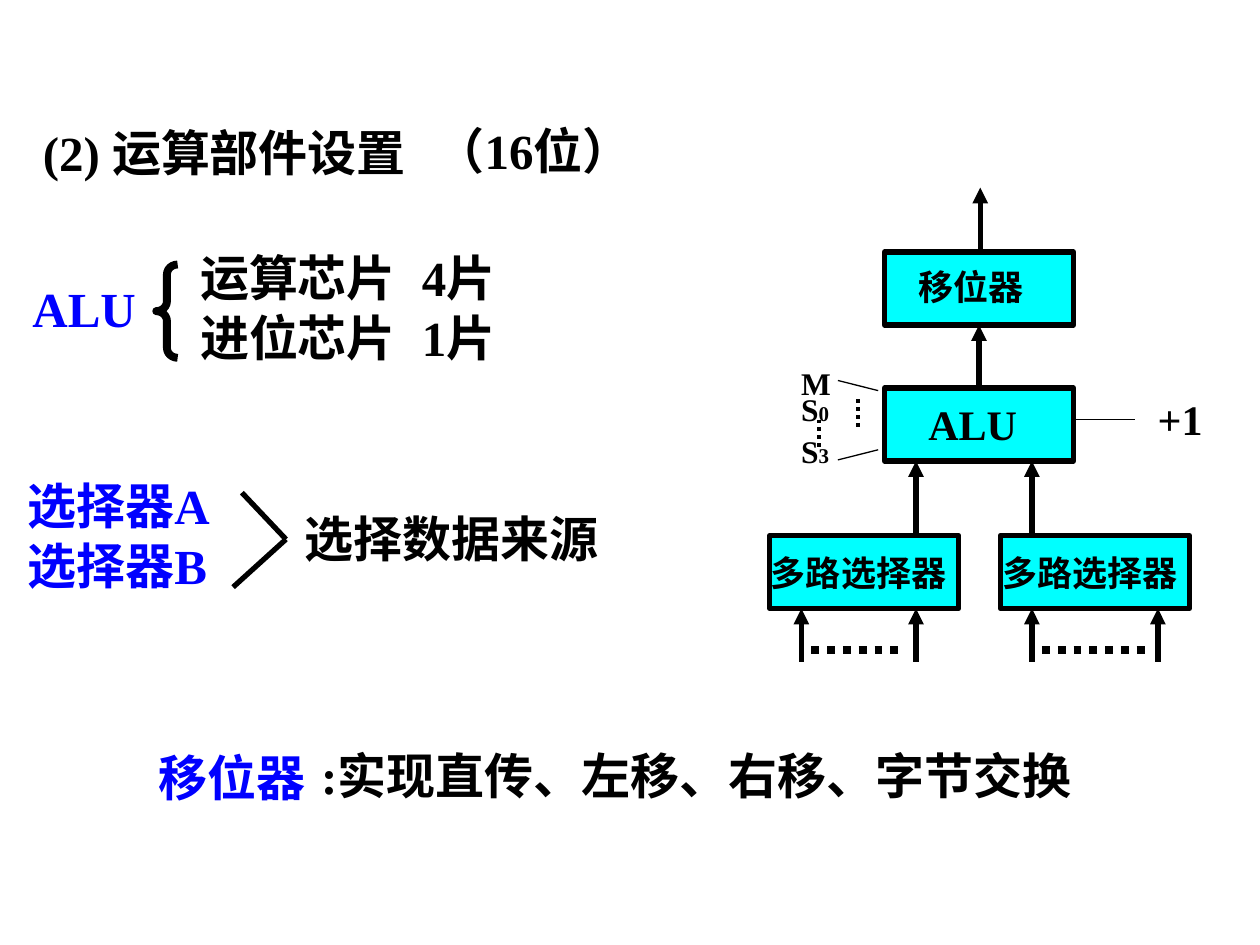
from dataclasses import dataclass
from pptx import Presentation, util as u
from pptx.dml.color import RGBColor
from pptx.enum import dml, shapes, text
from pptx.oxml.ns import qn
from lxml import etree


@dataclass
class Theme:
    font: str = "Times New Roman"
    ink: RGBColor = RGBColor(0, 0, 0)
    blue: RGBColor = RGBColor(0, 0, 255)
    fill: RGBColor = RGBColor(0, 255, 255)
    body: int = 28
    large: int = 24
    mid: int = 20
    small: int = 18
    sub: int = 12


look = Theme()
deck = Presentation()
deck.slide_width, deck.slide_height = u.Inches(10), u.Inches(7.5)
slide = deck.slides.add_slide(deck.slide_layouts[5])


def write(spot, lines, size=look.body, color=look.ink, pitch=1.0, box=None):
    """Fill a text box, or the given placeholder, with bold left-aligned lines."""
    place = [u.Inches(n) for n in spot]
    if box is None:
        box = slide.shapes.add_textbox(*place)
    box.left, box.top, box.width, box.height = place
    frame = box.text_frame
    frame.word_wrap = True
    frame.auto_size = text.MSO_AUTO_SIZE.NONE
    frame.vertical_anchor = text.MSO_ANCHOR.TOP
    frame.text = "\n".join(lines)
    for i, para in enumerate(frame.paragraphs):
        para.alignment = text.PP_ALIGN.LEFT
        para.line_spacing = pitch
        para.space_before = u.Pt(size / 2 if i else 0)
        for run in para.runs:
            font = run.font
            font.name, font.size, font.bold = look.font, u.Pt(size), True
            font.color.rgb = color
    return box


def draw(x1, y1, x2, y2, width=3.0, dots=False, arrow=False):
    ends = [u.Inches(n) for n in (x1, y1, x2, y2)]
    line = slide.shapes.add_connector(shapes.MSO_CONNECTOR.STRAIGHT, *ends)
    line.line.color.rgb = look.ink
    line.line.width = u.Pt(width)
    if dots:
        line.line.dash_style = dml.MSO_LINE.ROUND_DOT
    props = line._element.spPr
    if arrow:
        tip = etree.SubElement(props.find(qn("a:ln")), qn("a:tailEnd"))
        tip.set("type", "triangle")
    etree.SubElement(props, qn("a:effectLst"))


# Heading
write((0.24, 0.92, 5.42, 0.57), ["(2) 运算部件设置"], box=slide.shapes.title)
write((3.36, 0.91, 2.75, 0.57), ["（16位）"])

# ALU chips
write((0.16, 2.16, 3, 0.57), ["ALU"], color=look.blue)
brace = slide.shapes.add_shape(
    shapes.MSO_SHAPE.LEFT_BRACE, *[u.Inches(n) for n in (1.24, 2.1, 0.17, 0.74)])
brace.adjustments[0] = 0.46
brace.shadow.inherit = False
brace.fill.background()
brace.line.color.rgb = look.ink
brace.line.width = u.Pt(4.5)
chips = write((1.49, 2.08, 3.83, 0.9), ["运算芯片\t4片", "进位芯片\t1片"], pitch=0.6)
for para in chips.text_frame.paragraphs:
    tabs = etree.SubElement(para._p.get_or_add_pPr(), qn("a:tabLst"))
    etree.SubElement(tabs, qn("a:tab"), pos=str(u.Inches(1.76)), algn="l")

# Selectors
write((0.12, 3.89, 3.17, 0.9), ["选择器A", "选择器B"], color=look.blue, pitch=0.6)
draw(1.92, 3.91, 2.27, 4.28)
draw(1.85, 4.66, 2.27, 4.28)
write((2.32, 3.99, 2.87, 0.57), ["选择数据来源"])

# Shifter
write((1.16, 5.88, 3, 0.57), ["移位器"], color=look.blue)
write((2.45, 5.87, 6.41, 0.57), [":实现直传、左移、右移、字节交换"])

# Data path: upward arrows, then blocks, then their labels
for x, low, high in [(7.78, 1.99, 1.49), (7.77, 3.08, 2.58),
                     (7.27, 4.25, 3.66), (8.19, 4.25, 3.66),
                     (6.36, 5.25, 4.83), (7.27, 5.25, 4.83),
                     (8.19, 5.25, 4.83), (9.19, 5.25, 4.83)]:
    draw(x, low, x, high, arrow=True)
for left, right in [(6.44, 7.19), (8.27, 9.11)]:
    draw(left, 5.16, right, 5.16, 4.5, dots=True)

for x, y in [(7.02, 2), (7.02, 3.08), (6.11, 4.25), (7.94, 4.25)]:
    block = slide.shapes.add_shape(
        shapes.MSO_SHAPE.RECTANGLE, *[u.Inches(n) for n in (x, y, 1.5, 0.58)])
    block.shadow.inherit = False
    block.fill.solid()
    block.fill.fore_color.rgb = look.fill
    block.line.color.rgb = look.ink
    block.line.width = u.Pt(3)

write((7.19, 2.06, 1.67, 0.44), ["移位器"], look.mid)
write((7.27, 3.11, 1.67, 0.5), ["ALU"], look.large)
for x in (6.02, 7.86):
    write((x, 4.33, 1.75, 0.43), ["多路选择器"], look.mid)

# ALU control inputs and carry
pins = write((6.26, 2.92, 0.63, 0.88), ["M S", "S"], look.small, pitch=0.7)
for para, digit in zip(pins.text_frame.paragraphs, "03"):
    run = para.add_run()
    run.text = digit
    run.font.name, run.font.size, run.font.bold = look.font, u.Pt(look.sub), True
    run.font.color.rgb = look.ink
for x, y in [(6.81, 3.17), (6.5, 3.33)]:
    draw(x, y, x, y + 0.24, 2.25, dots=True)
draw(6.65, 3.02, 6.97, 3.1, 0.75)
draw(6.65, 3.65, 6.97, 3.57, 0.75)
draw(8.54, 3.33, 9.01, 3.33, 0.75)
write((9.09, 3.18, 0.63, 0.38), ["+1"], look.large, pitch=0.7)

deck.save("out.pptx")
